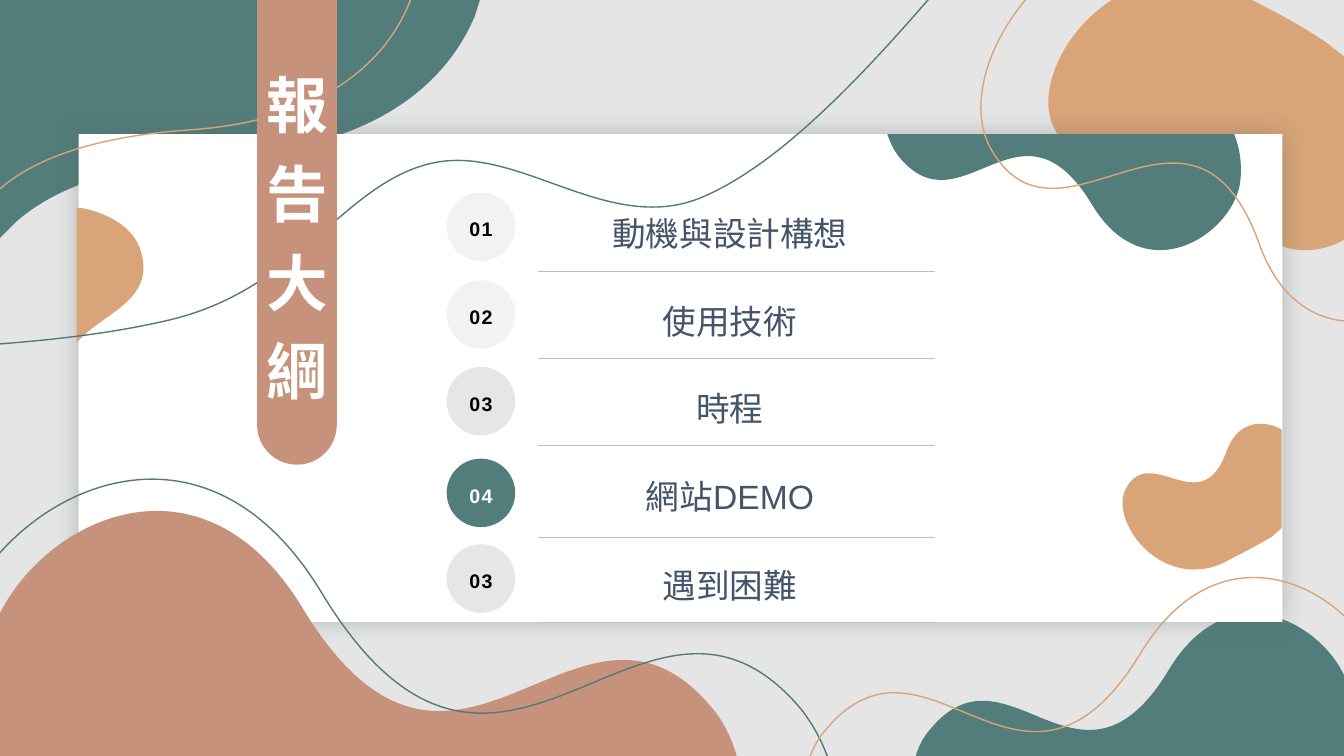
from lxml import etree
from pptx import Presentation
from pptx import util as u
from pptx.dml.color import RGBColor
from pptx.enum import shapes, text
from pptx.oxml.ns import qn

# ---- Content (positions in inches, converted by size()) ----
TITLE = "報告大綱"
# number, label, circle top, label top, circle colour, number colour
AGENDA = [
    ("01", "動機與設計構想", 1.91, 1.98, "pale", "black"),
    ("02", "使用技術", 2.78, 2.86, "pale", "black"),
    ("03", "時程", 3.64, 3.72, "grey", "black"),
    ("04", "網站DEMO", 4.55, 4.59, "teal", "white"),
    ("03", "遇到困難", 5.40, 5.48, "grey", "black"),
]

THEME = {
    "teal": "527D7B", "line_teal": "52797B", "sand": "D8A478", "clay": "C6927B",
    "white": "FFFFFF", "black": "000000", "pale": "F2F2F2", "grey": "E7E6E6",
    "rule": "BFBFBF", "label": "44546A", "backdrop": "7F7F7F", "shadow": "566363",
    "font": "Arial", "title_pt": 44, "label_pt": 24, "number_pt": 14,
}

# Outlines: first pair starts, a pair is a straight side, six numbers are a cubic curve
BLOBS_BEHIND = [
    ("teal", [(13.34, 7.51), (13.4, 7.33, 13.43, 7.14, 13.4, 6.92),
              (13.31, 6.29, 12.24, 5.56, 11.59, 6.65), (10.71, 8.1, 10, 6.31, 9.23, 7.23),
              (9.16, 7.31, 9.11, 7.4, 9.08, 7.51)]),
    ("teal", [(0, 0), (4.76, 0), (4.71, 0.16), (4.4, 0.89, 3.65, 1.46, 2.25, 1.55),
              (1.19, 1.62, 0.54, 1.86, 0.15, 2.21), (0, 2.36)]),
    ("sand", [(11.69, -0.21), (10.8, -0.19, 10.18, 0.81, 10.47, 1.3),
              (10.93, 2.12, 11.84, 0.68, 12.3, 1.96), (12.49, 2.49, 12.9, 2.56, 13.25, 2.42),
              (13.33, 2.38), (13.33, 0.56), (13.15, 0.42),
              (12.86, 0.22, 12.55, 0.07, 12.34, -0.04),
              (12.12, -0.16, 11.9, -0.21, 11.69, -0.21)]),
]
BLOBS_FRONT = [
    ("teal", [(12.24, 1.33), (12.3, 1.48, 12.32, 1.64, 12.3, 1.81),
              (12.23, 2.32, 11.36, 2.91, 10.83, 2.03), (10.12, 0.85, 9.54, 2.31, 8.92, 1.56),
              (8.87, 1.5, 8.83, 1.42, 8.8, 1.33)]),
    ("clay", [(-0.02, 7.51), (-0.14, 7.2, -0.19, 6.86, -0.13, 6.49),
              (0.02, 5.41, 1.86, 4.16, 3, 6.03), (4.52, 8.54, 5.74, 5.44, 7.06, 7.02),
              (7.18, 7.16, 7.26, 7.33, 7.31, 7.51)]),
    ("sand", [(11.83, 5.65), (11.35, 5.64, 11.02, 5.1, 11.17, 4.84),
              (11.42, 4.4, 11.91, 5.17, 12.16, 4.49), (12.26, 4.2, 12.48, 4.16, 12.67, 4.24),
              (12.71, 4.26), (12.71, 5.24), (12.62, 5.32),
              (12.46, 5.42, 12.29, 5.5, 12.18, 5.56), (12.06, 5.63, 11.94, 5.65, 11.83, 5.65)]),
    ("sand", [(1.42, 2.71), (1.38, 3.02, 0.99, 3.15, 0.78, 3.38), (0.76, 3.4), (0.76, 2.06),
              (0.84, 2.07), (1.1, 2.13, 1.3, 2.26, 1.38, 2.44),
              (1.42, 2.55, 1.43, 2.64, 1.42, 2.71)]),
]
# colour, closed, outline
CONTOURS = [
    ("line_teal", True, [(-0.33, 7.61), (-0.47, 7.25, -0.53, 6.86, -0.47, 6.42),
                         (-0.29, 5.15, 1.87, 3.69, 3.19, 5.88),
                         (4.97, 8.81, 6.4, 5.19, 7.95, 7.04),
                         (8.08, 7.21, 8.18, 7.4, 8.24, 7.61)]),
    ("sand", True, [(11.61, -0.72), (10.31, -0.7, 9.42, 0.76, 9.83, 1.48),
                    (10.51, 2.67, 11.82, 0.57, 12.49, 2.42), (12.77, 3.2, 13.36, 3.3, 13.87, 3.1),
                    (13.99, 3.04), (13.99, 0.39), (13.73, 0.19),
                    (13.31, -0.1, 12.85, -0.32, 12.56, -0.48),
                    (12.22, -0.65, 11.9, -0.73, 11.61, -0.72)]),
    ("sand", True, [(13.65, 7.61), (13.74, 7.37, 13.78, 7.11, 13.74, 6.83),
                    (13.62, 5.99, 12.2, 5.03, 11.32, 6.47), (10.15, 8.4, 9.21, 6.02, 8.19, 7.24),
                    (8.1, 7.34, 8.04, 7.47, 8, 7.61)]),
    ("line_teal", False, [(-3.15, 3.51), (-1.32, 3.49, 0.5, 3.47, 1.74, 3.16),
                          (2.98, 2.84, 3.41, 1.82, 4.28, 1.62),
                          (5.15, 1.42, 6.04, 2.36, 6.98, 1.95),
                          (7.92, 1.54, 8.93, 0.34, 9.93, -0.86)]),
    ("sand", True, [(-0.15, -0.11), (4.11, -0.11), (4.06, 0.03),
                    (3.79, 0.69, 3.11, 1.21, 1.86, 1.29), (0.91, 1.36, 0.33, 1.58, -0.02, 1.89),
                    (-0.15, 2.03)]),
]
CIRCLE_X, CIRCLE_D = 4.43, 0.68
LABEL_X, LABEL_W, LABEL_H = 5.22, 4.04, 0.53
RULE_X1, RULE_X2, RULE_DROP = 5.34, 9.27, 0.78


# ---- Helpers ----
def size(inches):
    return u.Cm(inches * 2.54)


def color(name):
    return RGBColor.from_string(THEME[name])


def paint(sp, fill=None, line=None):
    sp.shadow.inherit = False
    if fill:
        sp.fill.solid()
        sp.fill.fore_color.rgb = color(fill)
    else:
        sp.fill.background()
    if line:
        sp.line.color.rgb = color(line)
        sp.line.width = u.Pt(1)
    else:
        sp.line.fill.background()


def add_outline(s, outline, closed=True, fill=None, line=None):
    """Lay out every point as a side, then merge each curve's three sides into one."""
    points = [(size(part[i]), size(part[i + 1]))
              for part in outline for i in range(0, len(part), 2)]
    builder = s.shapes.build_freeform(*points[0])
    builder.add_line_segments(points[1:], close=closed)
    sp = builder.convert_to_shape()
    sides = iter(list(sp._element.iter(qn("a:lnTo"))))
    for part in outline[1:]:
        side = next(sides)
        if len(part) == 6:
            curve = etree.Element(qn("a:cubicBezTo"))
            side.addprevious(curve)
            for piece in (side, next(sides), next(sides)):
                curve.append(piece[0])
                piece.getparent().remove(piece)
    paint(sp, fill, line)


def add_preset(s, kind, x, y, w, h, fill):
    sp = s.shapes.add_shape(kind, size(x), size(y), size(w), size(h))
    paint(sp, fill)
    return sp


def add_box(s, x, y, w, h):
    tf = s.shapes.add_textbox(size(x), size(y), size(w), size(h)).text_frame
    tf.word_wrap = True
    return tf


def write(p, words, pt, ink, bold=False, align=None):
    p.text = words
    p.line_spacing = 1.2
    p.alignment = align
    font = p.runs[0].font
    font.name, font.size, font.bold = THEME["font"], u.Pt(THEME[pt]), bold
    font.color.rgb = color(ink)


def add_rule(s, y):
    cn = s.shapes.add_connector(shapes.MSO_CONNECTOR.STRAIGHT,
                                size(RULE_X1), size(y), size(RULE_X2), size(y))
    cn.line.color.rgb = color("rule")
    cn.line.width = u.Pt(0.75)
    etree.SubElement(cn._element.spPr, qn("a:effectLst"))


# ---- Slide ----
def main():
    prs = Presentation()
    prs.slide_width, prs.slide_height = size(13.33), size(7.5)
    s = prs.slides.add_slide(prs.slide_layouts[6])
    kinds, center = shapes.MSO_SHAPE, text.PP_ALIGN.CENTER

    # Translucent backdrop
    sp = add_preset(s, kinds.RECTANGLE, 0, 0, 13.33, 7.5, "backdrop")
    tint = sp._element.spPr.find(".//" + qn("a:srgbClr"))
    etree.SubElement(tint, qn("a:alpha"), val="20000")

    # Blobs and the shadowed white panel
    for fill, outline in BLOBS_BEHIND:
        add_outline(s, outline, fill=fill)
    panel = add_preset(s, kinds.RECTANGLE, 0.78, 1.33, 11.94, 4.84, "white")
    effects = panel._element.spPr.find(qn("a:effectLst"))
    glow = etree.SubElement(effects, qn("a:outerShdw"), blurRad=str(u.Pt(17)),
                            dist="0", dir="0", algn="ctr", rotWithShape="0")
    tint = etree.SubElement(glow, qn("a:srgbClr"), val=THEME["shadow"])
    etree.SubElement(tint, qn("a:alpha"), val="35000")
    for fill, outline in BLOBS_FRONT:
        add_outline(s, outline, fill=fill)
    for line, closed, outline in CONTOURS:
        add_outline(s, outline, closed, line=line)

    # Vertical title on its ribbon
    ribbon = add_preset(s, kinds.ROUNDED_RECTANGLE, 2.55, -0.4, 0.79, 5.01, "clay")
    ribbon.adjustments[0] = 0.5
    tf = add_box(s, 2.54, 0.47, 3.59, 3.58)
    for i, character in enumerate(TITLE):
        p = tf.add_paragraph() if i else tf.paragraphs[0]
        write(p, character, "title_pt", "white", bold=True)

    # Agenda rows
    for number, label, top, label_top, fill, ink in AGENDA:
        circle = add_preset(s, kinds.OVAL, CIRCLE_X, top, CIRCLE_D, CIRCLE_D, fill)
        tf = circle.text_frame
        tf.vertical_anchor = text.MSO_ANCHOR.MIDDLE
        p = tf.paragraphs[0]
        write(p, number, "number_pt", ink, True, center)
        p.runs[0].font._element.set("spc", "100")
        tf = add_box(s, LABEL_X, label_top, LABEL_W, LABEL_H)
        write(tf.paragraphs[0], label, "label_pt", "label", align=center)
        add_rule(s, top + RULE_DROP)

    prs.save("out.pptx")


if __name__ == "__main__":
    main()
